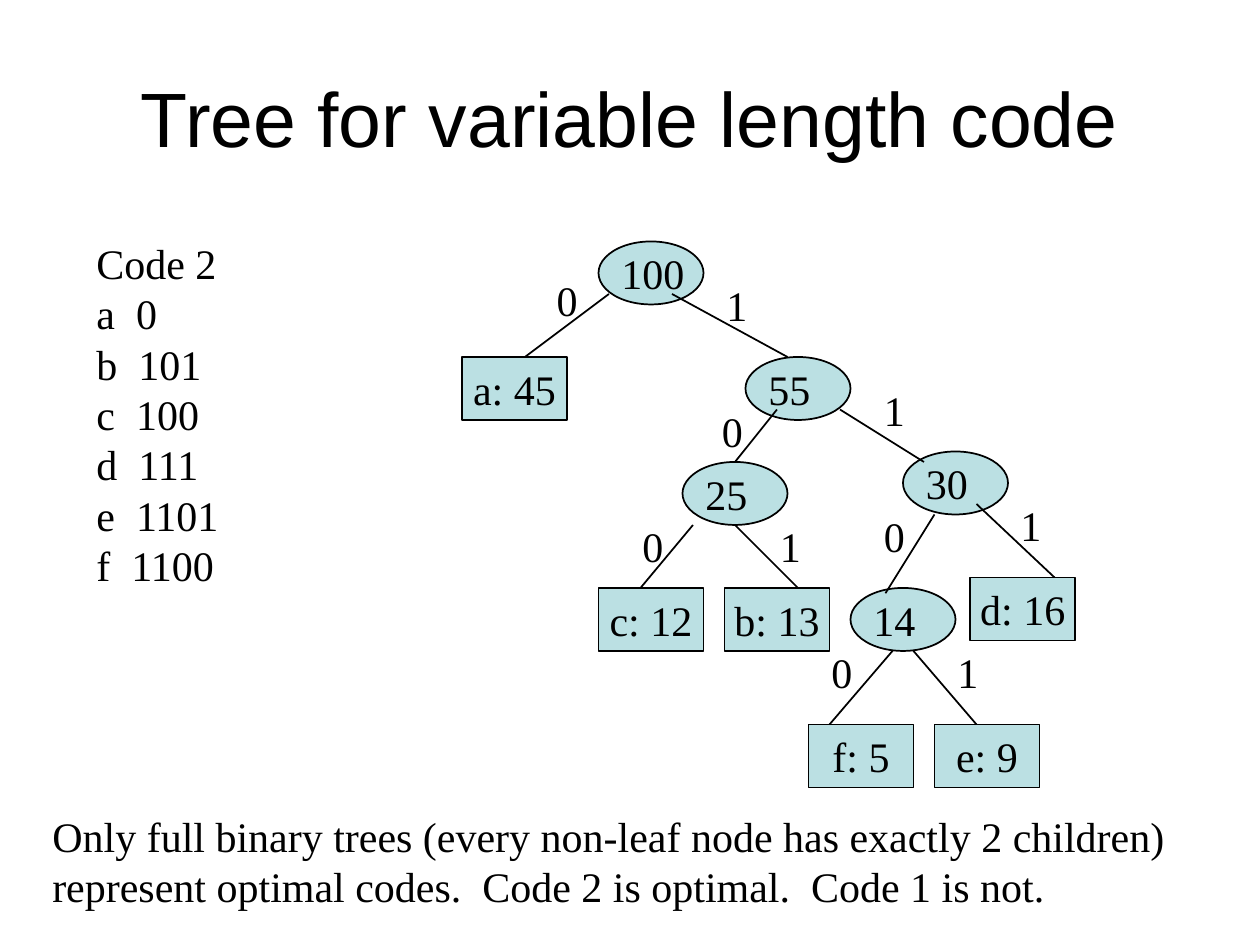
from lxml.etree import SubElement
from pptx import Presentation
from pptx.dml.color import RGBColor
from pptx.enum.shapes import MSO_CONNECTOR, MSO_SHAPE
from pptx.enum.text import MSO_ANCHOR, MSO_AUTO_SIZE, PP_ALIGN
from pptx.oxml.ns import qn
from pptx.util import Pt

COLOURS = {"ink": "000000", "node": "BBE0E3"}
NODE_WIDTH, NODE_HEIGHT = 60, 36

CODE_LINES = ["Code 2", "a  0", "b  101", "c  100", "d  111", "e  1101", "f  1100"]
SUMMARY = (
    "Only full binary trees (every non-leaf node has exactly 2 children) "
    "represent optimal codes.  Code 2 is optimal.  Code 1 is not."
)
INNER_NODES = [
    ("100", 342, 138), ("30", 516, 258), ("14", 486, 336), ("25", 390, 264), ("55", 426, 204),
]
LEAVES = [
    ("a: 45", 264, 204), ("d: 16", 554.4, 330), ("c: 12", 342, 336),
    ("b: 13", 414, 336), ("f: 5", 462, 414), ("e: 9", 534, 414),
]
BRANCHES = [
    ("0", (348, 168), (300, 204), (311, 153.4)),
    ("1", (384, 168), (450, 204), (408, 156)),
    ("0", (444, 234), (420, 264), (405.4, 228)),
    ("1", (480, 234), (528, 264), (498, 216)),
    ("0", (396, 300), (366, 336), (360, 294)),
    ("1", (420, 300), (456, 336), (438.5, 294)),
    ("0", (534, 294), (506, 339), (498, 288)),
    ("1", (558, 288), (602.6, 330), (576, 282)),
    ("0", (510, 372), (474, 414), (468, 366)),
    ("1", (522, 372), (558, 414), (540, 366)),
]


def colour(name):
    """Return the named colour."""
    return RGBColor.from_string(COLOURS[name])


def write(frame, text, font="Times New Roman", size=24, align=PP_ALIGN.LEFT):
    """Fill a text frame and format its runs."""
    frame.text = text
    for para in frame.paragraphs:
        para.alignment = align
        for span in para.runs:
            span.font.name = font
            span.font.size = Pt(size)
            span.font.color.rgb = colour("ink")


def add_text(page, text, left, top, width, height, wrap=False):
    """Add a left-aligned text box that grows with its text."""
    box = page.shapes.add_textbox(Pt(left), Pt(top), Pt(width), Pt(height))
    write(box.text_frame, text)
    box.text_frame.word_wrap = wrap
    box.text_frame.auto_size = MSO_AUTO_SIZE.SHAPE_TO_FIT_TEXT


def add_title(page, text):
    """Add the centred slide title."""
    box = page.shapes.add_textbox(Pt(36), Pt(21.6), Pt(648), Pt(90))
    write(box.text_frame, text, "Arial", 44, PP_ALIGN.CENTER)
    box.text_frame.word_wrap = True
    box.text_frame.vertical_anchor = MSO_ANCHOR.MIDDLE


def add_node(page, kind, left, top):
    """Add one outlined tree node."""
    node = page.shapes.add_shape(kind, Pt(left), Pt(top), Pt(NODE_WIDTH), Pt(NODE_HEIGHT))
    node.shadow.inherit = False
    node.fill.solid()
    node.fill.fore_color.rgb = colour("node")
    node.line.color.rgb = colour("ink")
    node.line.width = Pt(1)
    return node


def add_inner_node(page, weight, left, top):
    """Add an oval with its weight written over it."""
    add_node(page, MSO_SHAPE.OVAL, left, top)
    add_text(page, weight, left + 6, top, 14.4 + 12 * len(weight), NODE_HEIGHT)


def add_leaf(page, text, left, top):
    """Add a rectangle holding a letter and its frequency."""
    frame = add_node(page, MSO_SHAPE.RECTANGLE, left, top).text_frame
    write(frame, text, align=PP_ALIGN.CENTER)
    frame.word_wrap = False
    frame.vertical_anchor = MSO_ANCHOR.MIDDLE


def add_branch(page, start, end):
    """Add a straight branch between two nodes."""
    points = [Pt(value) for value in (*start, *end)]
    branch = page.shapes.add_connector(MSO_CONNECTOR.STRAIGHT, *points)
    branch.line.color.rgb = colour("ink")
    branch.line.width = Pt(1)
    SubElement(branch.element.spPr, qn("a:effectLst"))


def main():
    """Build the slide and save it."""
    deck = Presentation()
    deck.slide_width, deck.slide_height = Pt(720), Pt(540)
    page = deck.slides.add_slide(deck.slide_layouts[6])
    add_title(page, "Tree for variable length code")
    add_text(page, "\n".join(CODE_LINES), 48, 132, 85, 209)
    for node in INNER_NODES:
        add_inner_node(page, *node)
    for leaf in LEAVES:
        add_leaf(page, *leaf)
    for _, start, end, _ in BRANCHES:
        add_branch(page, start, end)
    for bit, _, _, (left, top) in BRANCHES:
        add_text(page, bit, left, top, 26.4, 36)
    add_text(page, SUMMARY, 22.8, 459.4, 661, 65, wrap=True)
    deck.save("out.pptx")


if __name__ == "__main__":
    main()
